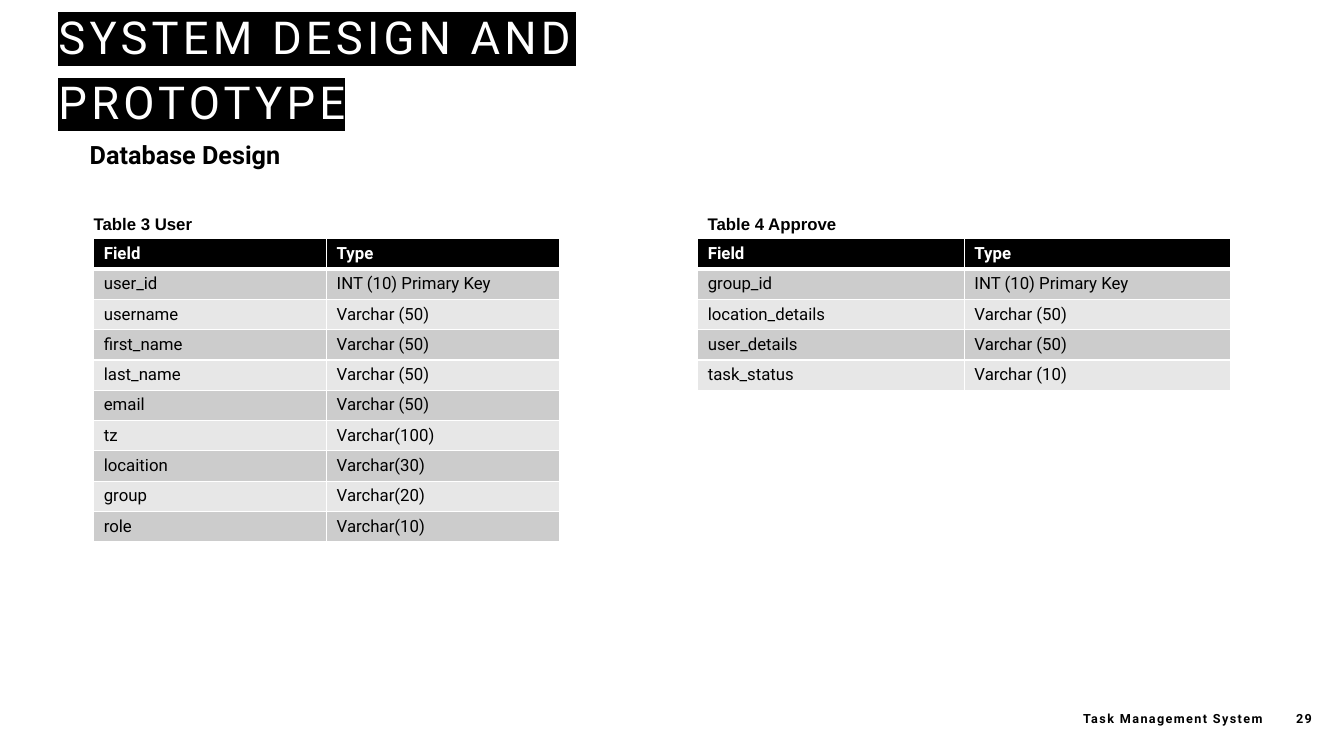
import pptx
import pptx.dml.color
import pptx.enum.text
import pptx.oxml
import pptx.oxml.ns
import pptx.util
from pptx.dml.color import RGBColor
from pptx.util import Inches

BLACK = RGBColor(0x00, 0x00, 0x00)
WHITE = RGBColor(0xFF, 0xFF, 0xFF)
DARK_BAND = RGBColor(0xCC, 0xCC, 0xCC)
LIGHT_BAND = RGBColor(0xE7, 0xE7, 0xE7)

ANCHOR = pptx.enum.text.MSO_ANCHOR
ALIGN = pptx.enum.text.PP_ALIGN
NAMESPACE = pptx.oxml.ns.nsdecls("a")

TABLE_TOP = 2.37
ROW_HEIGHT = 0.3
CAPTION_HEIGHT = 0.3

USER_FIELDS = [
    ("Field", "Type"),
    ("user_id", "INT (10) Primary Key"),
    ("username", "Varchar (50)"),
    ("first_name", "Varchar (50)"),
    ("last_name", "Varchar (50)"),
    ("email", "Varchar (50)"),
    ("tz", "Varchar(100)"),
    ("locaition", "Varchar(30)"),
    ("group", "Varchar(20)"),
    ("role", "Varchar(10)"),
]
APPROVE_FIELDS = [
    ("Field", "Type"),
    ("group_id", "INT (10) Primary Key"),
    ("location_details", "Varchar (50)"),
    ("user_details", "Varchar (50)"),
    ("task_status", "Varchar (10)"),
]


class SlideBuilder:
    """Holds the text style and the current slide."""

    def __init__(self, page, font="Roboto"):
        self.page = page
        self.font = font

    def add_span(self, frame, text, size, color=BLACK, bold=True, align=ALIGN.LEFT,
                 font=None, tracking=0):
        """Put one formatted run in a text frame; tracking is in points."""
        para = frame.paragraphs[0]
        para.alignment = align
        span = para.add_run()
        span.text = text
        values = {"name": font or self.font, "size": pptx.util.Pt(size), "bold": bold}
        for name, value in values.items():
            setattr(span.font, name, value)
        span.font.color.rgb = color
        if tracking:
            span.font._element.set("spc", str(tracking * 100))
        return span

    def title(self, text, left, top, width, height):
        box = self.page.shapes.title
        place = {"left": left, "top": top, "width": width, "height": height}
        for name, value in place.items():
            setattr(box, name, Inches(value))
        frame = box.text_frame
        frame.word_wrap = True
        frame.auto_size = pptx.enum.text.MSO_AUTO_SIZE.NONE
        frame.vertical_anchor = ANCHOR.BOTTOM
        span = self.add_span(frame, text, 32.4, WHITE, bold=False, tracking=3)
        frame.paragraphs[0].line_spacing = 1.2
        highlight = pptx.oxml.parse_xml(
            f'<a:highlight {NAMESPACE}><a:srgbClr val="{BLACK}"/></a:highlight>')
        span.font._element.find(pptx.oxml.ns.qn("a:solidFill")).addnext(highlight)

    def text(self, text, left, top, width, height, size, anchor=ANCHOR.MIDDLE, **style):
        box = self.page.shapes.add_textbox(
            Inches(left), Inches(top), Inches(width), Inches(height))
        box.text_frame.word_wrap = True
        box.text_frame.vertical_anchor = anchor
        self.add_span(box.text_frame, text, size, **style)

    def borders(self, cell, bottom):
        """Draw white cell edges, with the bottom one of the given width in points."""
        edges = {"lnL": 1, "lnR": 1, "lnT": 1, "lnB": bottom}
        properties = cell._tc.get_or_add_tcPr()
        for index, (edge, points) in enumerate(edges.items()):
            properties.insert(index, pptx.oxml.parse_xml(
                f'<a:{edge} {NAMESPACE} w="{pptx.util.Pt(points)}"><a:solidFill>'
                f'<a:srgbClr val="{WHITE}"/></a:solidFill></a:{edge}>'))

    def table(self, rows, left, width):
        """Add a table with a black header and two alternating band colours."""
        table = self.page.shapes.add_table(
            len(rows), len(rows[0]), Inches(left), Inches(TABLE_TOP),
            Inches(width), Inches(ROW_HEIGHT * len(rows))).table
        for row_index, row in enumerate(rows):
            header = row_index == 0
            band = DARK_BAND if row_index % 2 else LIGHT_BAND
            for column_index, text in enumerate(row):
                cell = table.cell(row_index, column_index)
                cell.fill.solid()
                cell.fill.fore_color.rgb = BLACK if header else band
                self.borders(cell, bottom=3 if header else 1)
                self.add_span(cell.text_frame, text, 12, WHITE if header else BLACK,
                              bold=header)

    def caption(self, text, left, width):
        self.text(text, left, TABLE_TOP - CAPTION_HEIGHT, width, CAPTION_HEIGHT, 12,
                  font="Arial")

    def footer(self, text, left, width):
        self.text(text, left, 6.93, width, 0.4, 9, align=ALIGN.RIGHT, tracking=1)


def main():
    deck = pptx.Presentation()
    deck.slide_width = Inches(13.33)
    deck.slide_height = Inches(7.5)
    builder = SlideBuilder(deck.slides.add_slide(deck.slide_layouts[5]))

    builder.title("SYSTEM DESIGN AND PROTOTYPE", 0.48, 0.54, 8.3, 0.79)
    builder.text("Database Design", 0.59, 1.33, 2.49, 0.42, 18,
                 anchor=ANCHOR.TOP, align=ALIGN.CENTER)
    builder.footer("Task Management System", 8.79, 3.83)
    builder.footer("29", 12.52, 0.59)

    builder.caption("Table 3 User", 0.83, 2.38)
    builder.table(USER_FIELDS, 0.93, 4.62)
    builder.caption("Table 4 Approve", 6.92, 1.76)
    builder.table(APPROVE_FIELDS, 6.92, 5.29)

    deck.save("out.pptx")


if __name__ == "__main__":
    main()
